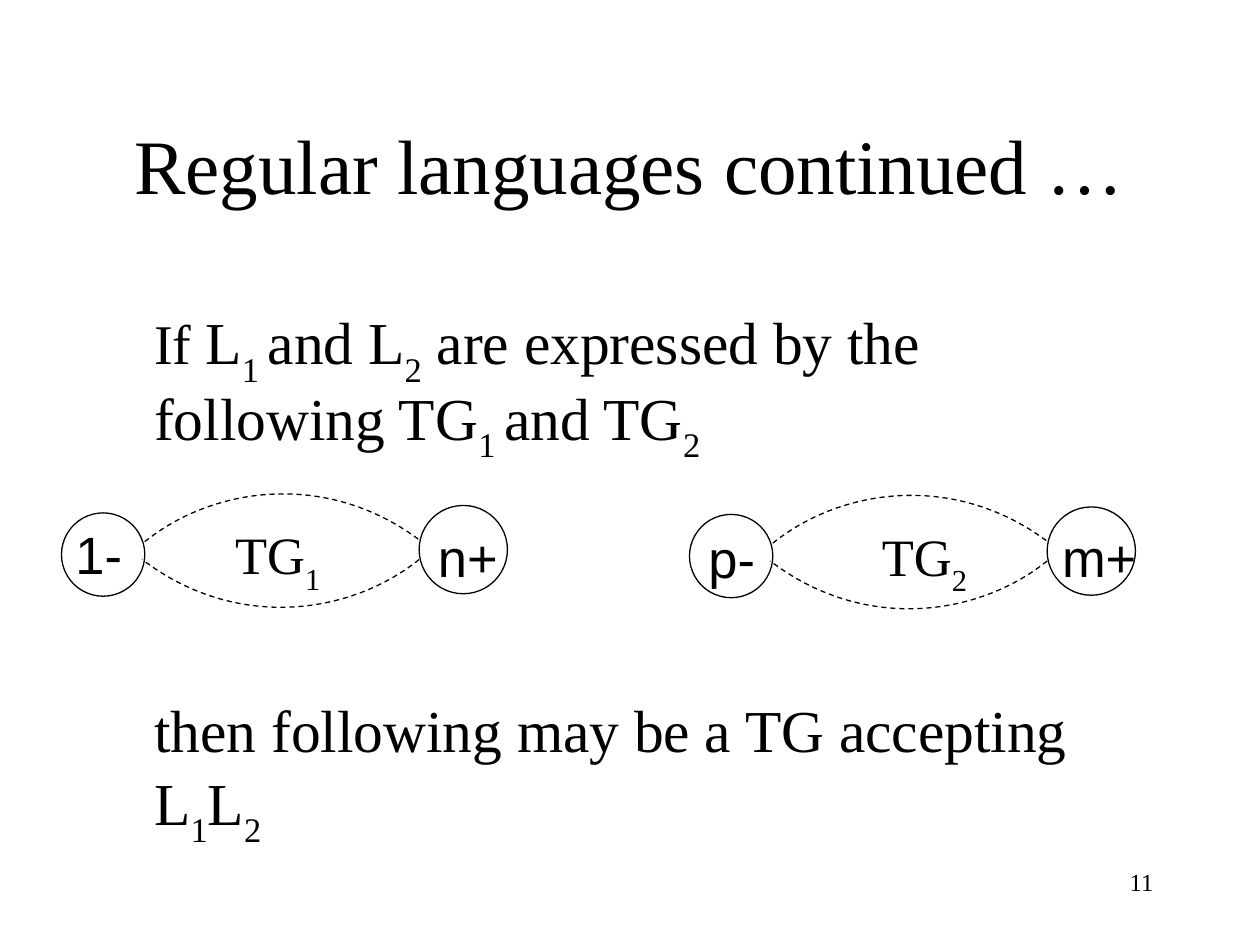
from pptx import Presentation
from pptx.dml.color import RGBColor
from pptx.enum import dml, shapes, text
from pptx.oxml import xmlchemy as x
from pptx.util import Cm, Pt

COLORS = {"ink": "000000", "paper": "FFFFFF"}
SERIF, SANS = "Times New Roman", "Arial"
# Control points of the upper arc, from the corner of its graph
ARC = [(1.68, 1.42), (3.1, 0.28), (5.41, 0), (7.26, 1.42)]
GRAPH_W, GRAPH_H = 8.89, 3.2


def color(name):
    return RGBColor.from_string(COLORS[name])


def write(p, content, size=34, font=SERIF, lead_size=None, align=None):
    """Fill a paragraph; every second part between bars is a subscript.

    lead_size applies to the first word only.
    """
    p.alignment = align
    parts = [(t, size, i % 2) for i, t in enumerate(content.split("|")) if t]
    if lead_size:
        word, rest = parts[0][0].split(" ", 1)
        parts[:1] = [(word + " ", lead_size, 0), (rest, size, 0)]
    for t, points, sub in parts:
        r = p.add_run()
        r.text = t
        r.font.size, r.font.name = Pt(points), font
        r.font.color.rgb = color("ink")
        if sub:
            r.font._element.set("baseline", "-30000")


def add_text_box(s, left, top, width, height):
    tf = s.shapes.add_textbox(Cm(left), Cm(top), Cm(width), Cm(height)).text_frame
    tf.word_wrap = True
    return tf


def set_outline(sp):
    sp.shadow.inherit = False
    sp.line.color.rgb = color("ink")
    sp.line.width = Pt(0.75)


def add_state(s, left, top, size):
    sp = s.shapes.add_shape(shapes.MSO_SHAPE.OVAL, Cm(left), Cm(top), Cm(size), Cm(size))
    sp.fill.solid()
    sp.fill.fore_color.rgb = color("paper")
    set_outline(sp)


def add_arc(s, left, top, points):
    """Draw one dashed cubic curve from its four control points."""
    start, *rest = [(Cm(left + px), Cm(top + py)) for px, py in points]
    builder = s.shapes.build_freeform(*start)
    builder.add_line_segments(rest, close=False)
    sp = builder.convert_to_shape()
    path = sp._element.xpath(".//a:path")[0]
    curve = x.OxmlElement("a:cubicBezTo")
    for segment in path.xpath("a:lnTo"):
        curve.append(segment[0])
        path.remove(segment)
    path.append(curve)
    sp.fill.background()
    set_outline(sp)
    sp.line.dash_style = dml.MSO_LINE.DASH


def add_graph(s, left, top, labels):
    """Place two states joined by two arcs; labels are (text, font, dx, dy, width)."""
    add_state(s, left, top + 0.84, 1.68)
    add_arc(s, left, top, ARC)
    add_state(s, left + 7.21, top + 0.69, 1.78)
    add_arc(s, left, top, [(GRAPH_W - px, GRAPH_H - py) for px, py in ARC])
    for label, font, dx, dy, width in labels:
        tf = add_text_box(s, left + dx, top + dy, width, 1.52)
        write(tf.paragraphs[0], label, 30, font)


def add_title(s, left, top, width, height):
    sp = s.shapes.title
    sp.left, sp.top, sp.width, sp.height = Cm(left), Cm(top), Cm(width), Cm(height)
    sp.text_frame.vertical_anchor = text.MSO_ANCHOR.MIDDLE
    write(sp.text_frame.paragraphs[0], "Regular languages continued …", 44,
          align=text.PP_ALIGN.CENTER)


def add_body(s, left, top, width, height):
    tf = add_text_box(s, left, top, width, height)
    tf.margin_left = Cm(1.21)
    premise, conclusion = tf.paragraphs[0], tf.add_paragraph()
    write(premise, "If L|1 |and L|2| are expressed by the following TG|1 |and TG|2",
          lead_size=32)
    write(conclusion, "then following may be a TG accepting L|1|L|2")
    conclusion.space_before = Pt(140)
    for p in tf.paragraphs:
        p.line_spacing = 0.9


def add_page_number(s, left, top, width, height):
    tf = add_text_box(s, left, top, width, height)
    write(tf.paragraphs[0], "11", 14, align=text.PP_ALIGN.RIGHT)


def main():
    prs = Presentation()
    prs.slide_width, prs.slide_height = Cm(25.4), Cm(19.05)
    s = prs.slides.add_slide(prs.slide_layouts[5])
    add_title(s, 1.9, 1.7, 21.6, 3.18)
    add_body(s, 1.9, 6.02, 21.6, 11.13)
    add_graph(s, 1.24, 9.5, [("1-", SANS, 0.03, 0.9, 2.97),
                             ("TG|1", SERIF, 3.25, 0.9, 3.38),
                             ("n+", SANS, 7.34, 0.95, 2.97)])
    add_graph(s, 13.9, 9.53, [("p-", SANS, 0.13, 0.95, 2.97),
                              ("TG|2", SERIF, 3.63, 0.9, 3.38),
                              ("m+", SANS, 7.26, 0.92, 2.97)])
    add_page_number(s, 18.2, 17.35, 5.3, 1.27)
    prs.save("out.pptx")


if __name__ == "__main__":
    main()
